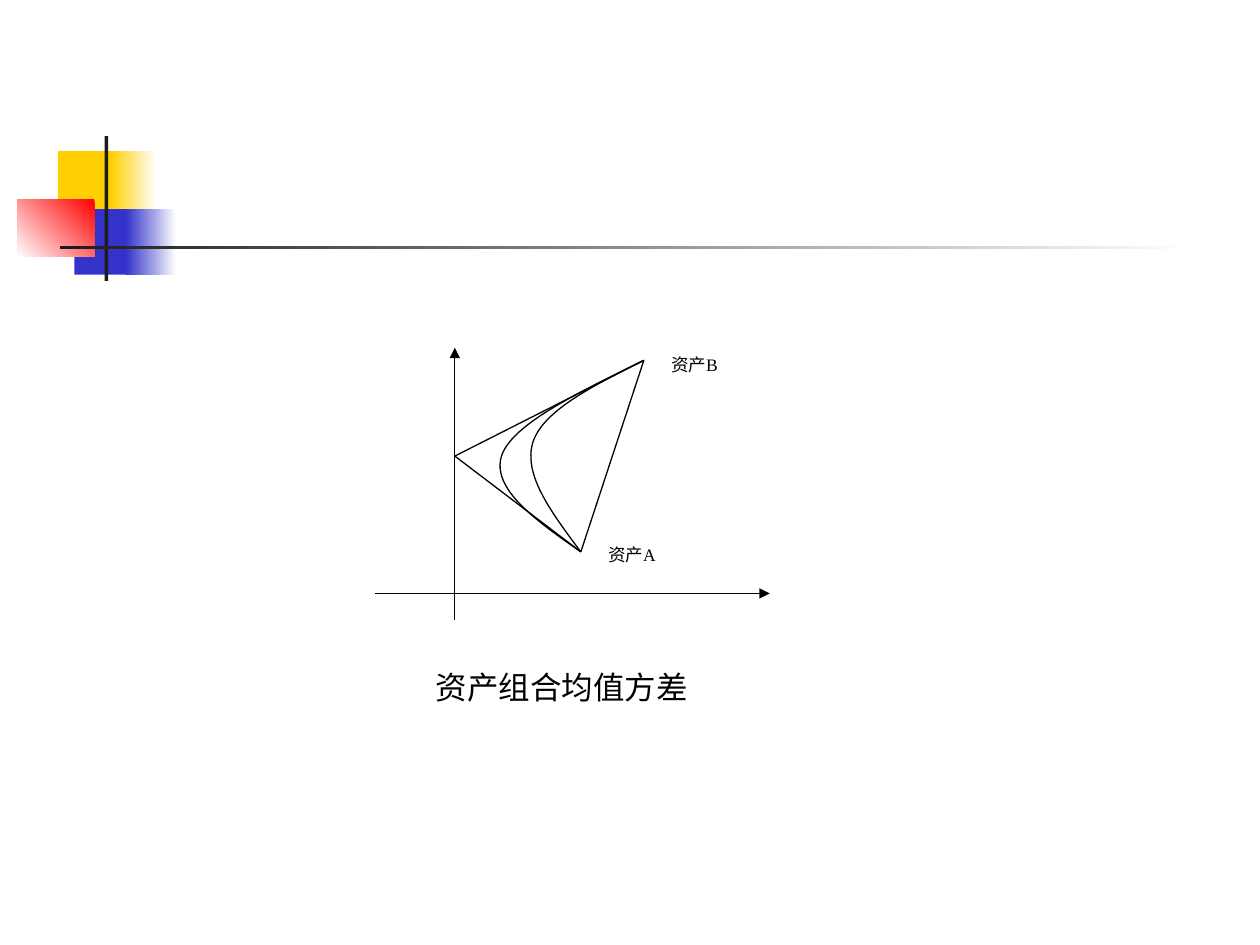
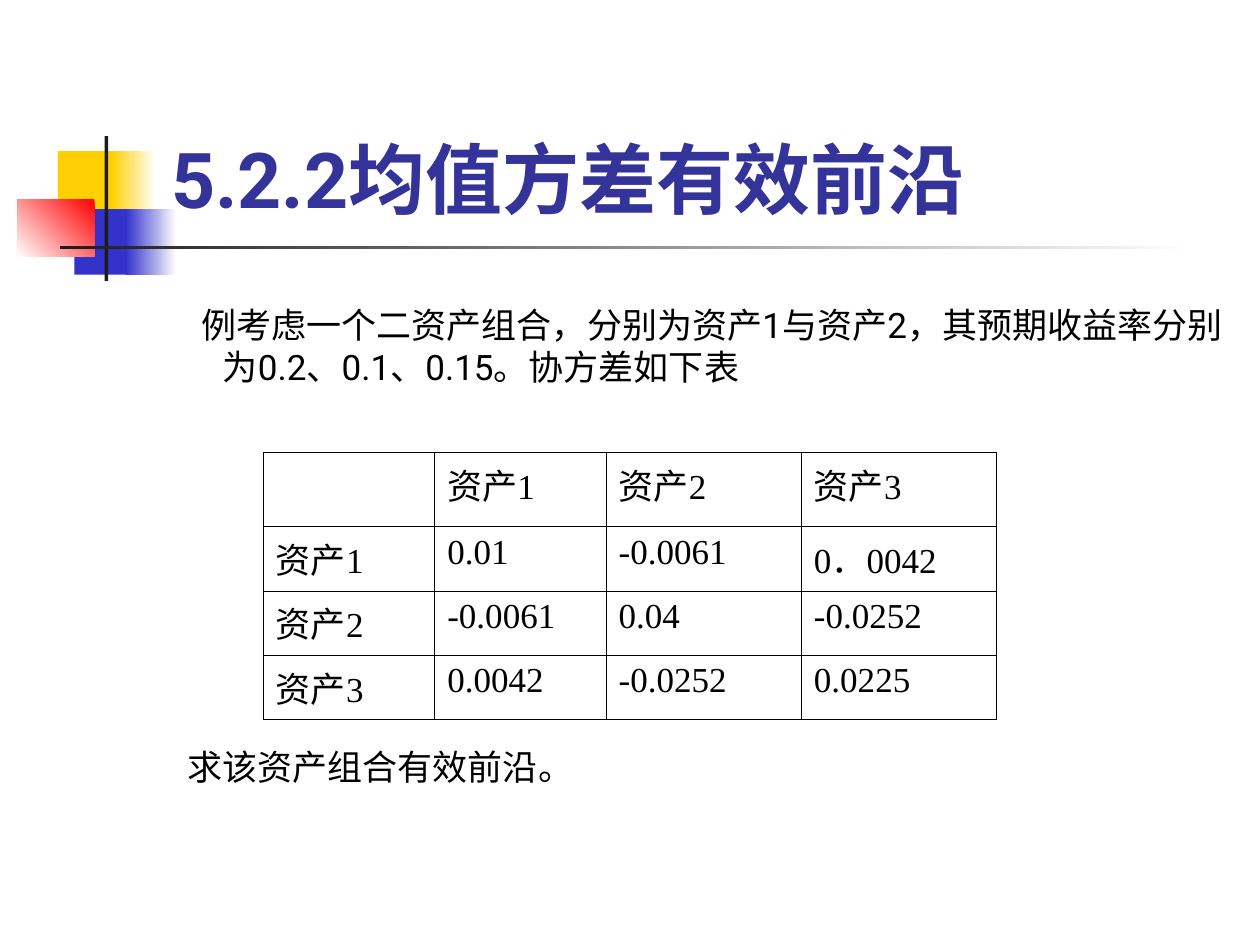
import lxml.etree
import pptx
import pptx.dml.color
import pptx.enum.shapes
import pptx.enum.text
import pptx.oxml.ns
import pptx.util

Inches = pptx.util.Inches
Pt = pptx.util.Pt
qn = pptx.oxml.ns.qn
RECT = pptx.enum.shapes.MSO_SHAPE.RECTANGLE
ALIGN = pptx.enum.text.PP_ALIGN
ANCHOR = pptx.enum.text.MSO_ANCHOR

THEME = {
    "gold": "FFCF01", "blue": "3333CC", "red": "FF0000", "dark": "1C1C1C",
    "white": "FFFFFF", "black": "000000", "title": "333399",
    "sans": "Roboto", "serif": "Times New Roman",
    "head": 44, "body": 20, "note": 18, "label": 10,
    "line": 0.75, "rule": 0.45,
}

# Motif: box, colours (two make a gradient), angle
MOTIF = [
    ((0.46, 1.2, 0.48, 0.52), ["gold"], 0),
    ((0.88, 1.2, 0.36, 0.52), ["white", "gold"], 180),
    ((0.59, 1.66, 0.46, 0.52), ["blue"], 0),
    ((1, 1.66, 0.4, 0.52), ["white", "blue"], 180),
    ((0.14, 1.58, 0.61, 0.46), ["red", "white"], 225),
    ((0.83, 1.08, 0.03, 1.15), ["dark"], 0),
    ((0.48, 1.95, 9, 0.03), ["white", "dark"], 180),
]

ASSET_A, ASSET_B, APEX = (4.61, 4.38), (5.11, 2.86), (3.61, 3.62)
AXES = [((3.61, 4.92), (3.61, 2.76)), ((2.98, 4.71), (6.11, 4.71))]
SIDES = [(ASSET_B, ASSET_A), (ASSET_B, APEX), (APEX, ASSET_A)]
# Each curve is two cubic pieces, from asset B to asset A
CURVES = [
    [(ASSET_B, (4.58, 3.12), (4.06, 3.37), (3.98, 3.62)),
     ((3.98, 3.62), (3.9, 3.88), (4.25, 4.13), ASSET_A)],
    [(ASSET_B, (4.71, 3.06), (4.31, 3.26), (4.23, 3.51)),
     ((4.23, 3.51), (4.15, 3.77), (4.38, 4.07), ASSET_A)],
]
LABELS = [("资产A", (4.73, 4.27, 0.75, 0.33)), ("资产B", (5.23, 2.76, 1, 0.43))]
CAPTION = "资产组合均值方差"

TITLE = "5.2.2均值方差有效前沿"
INTRO = "例考虑一个二资产组合，分别为资产1与资产2，其预期收益率分别为0.2、0.1、0.15。协方差如下表"
TASK = "求该资产组合有效前沿。"
COVAR = [
    ["", "资产1", "资产2", "资产3"],
    ["资产1", "0.01", "-0.0061", "0．0042"],
    ["资产2", "-0.0061", "0.04", "-0.0252"],
    ["资产3", "0.0042", "-0.0252", "0.0225"],
]
COLS, ROWS = [1.36, 1.36, 1.55, 1.55], [0.59, 0.51, 0.51, 0.51]


def tint(name):
    return pptx.dml.color.RGBColor.from_string(THEME[name])


def style(frame, size, face="sans", color="black", bold=False):
    for par in frame.paragraphs:
        for run in par.runs:
            run.font.size = Pt(THEME[size])
            run.font.name = THEME[face]
            run.font.color.rgb = tint(color)
            run.font.bold = bold


def block(slide, box, colors, angle=0):
    """Add a rectangle without outline, plain or gradient."""
    shape = slide.shapes.add_shape(RECT, *map(Inches, box))
    shape.shadow.inherit = False
    shape.line.fill.background()
    if len(colors) == 1:
        shape.fill.solid()
        shape.fill.fore_color.rgb = tint(colors[0])
    else:
        shape.fill.gradient()
        shape.fill.gradient_angle = angle
        for stop, name in zip(shape.fill.gradient_stops, colors):
            stop.color.rgb = tint(name)
    return shape


def write(slide, text, box, size, color="black", bold=False,
          anchor=ANCHOR.TOP, wrap=True):
    frame = slide.shapes.add_textbox(*map(Inches, box)).text_frame
    frame.text = text
    frame.word_wrap = wrap
    frame.vertical_anchor = anchor
    style(frame, size, color=color, bold=bold)
    return frame


def pen(line):
    line.color.rgb = tint("black")
    line.width = Pt(THEME["line"])


def link(slide, start, end, arrow=False):
    kind = pptx.enum.shapes.MSO_CONNECTOR.STRAIGHT
    wire = slide.shapes.add_connector(kind, *map(Inches, start + end))
    pen(wire.line)
    if arrow:
        lxml.etree.SubElement(wire.line._get_or_add_ln(), qn("a:tailEnd"), type="triangle")
    lxml.etree.SubElement(wire._element.spPr, qn("a:effectLst"))


def bezier(piece, t):
    weights = ((1 - t) ** 3, 3 * t * (1 - t) ** 2, 3 * t * t * (1 - t), t ** 3)
    return tuple(Inches(sum(w * p[axis] for w, p in zip(weights, piece)))
                 for axis in (0, 1))


def bend(slide, pieces, steps=24):
    """Draw joined cubic pieces as one open outline."""
    dots = [bezier(piece, i / steps) for piece in pieces for i in range(steps + 1)]
    pencil = slide.shapes.build_freeform(*dots[0])
    pencil.add_line_segments(dots[1:], close=False)
    shape = pencil.convert_to_shape()
    shape.shadow.inherit = False
    shape.fill.background()
    pen(shape.line)


def edge(cell):
    """Give a cell its four thin borders."""
    props = cell._tc.get_or_add_tcPr()
    for spot, side in enumerate(("lnL", "lnR", "lnT", "lnB")):
        line = lxml.etree.Element(qn("a:" + side), w=str(Pt(THEME["rule"])))
        fill = lxml.etree.SubElement(line, qn("a:solidFill"))
        lxml.etree.SubElement(fill, qn("a:srgbClr"), val=THEME["black"])
        props.insert(spot, line)


def grid(slide, data, left, top):
    size = map(Inches, (left, top, sum(COLS), sum(ROWS)))
    table = slide.shapes.add_table(len(ROWS), len(COLS), *size).table
    table.first_row = table.horz_banding = False
    for col, width in zip(table.columns, COLS):
        col.width = Inches(width)
    for row, height, texts in zip(table.rows, ROWS, data):
        row.height = Inches(height)
        for cell, text in zip(row.cells, texts):
            cell.text = text
            cell.fill.background()
            style(cell.text_frame, "body", "serif")
            edge(cell)


def start(deck):
    """Add a slide that carries the shared motif."""
    slide = deck.slides.add_slide(deck.slide_layouts[6])
    for box, colors, angle in MOTIF:
        block(slide, box, colors, angle)
    return slide


def plot(deck):
    slide = start(deck)
    for axis in AXES:
        link(slide, *axis, arrow=True)
    for curve in CURVES:
        bend(slide, curve)
    for side in SIDES:
        link(slide, *side)
    for text, box in LABELS:
        shape = block(slide, box, ["white"])
        frame = shape.text_frame
        frame.text = text
        frame.vertical_anchor = ANCHOR.TOP
        frame.paragraphs[0].alignment = ALIGN.JUSTIFY
        style(frame, "label", "serif")
    write(slide, CAPTION, (3.36, 5.25, 2.25, 0.4), "note",
          anchor=ANCHOR.MIDDLE, wrap=False)


def sample(deck):
    slide = start(deck)
    write(slide, TITLE, (1.26, 0.23, 8.52, 1.6), "head", "title", True, ANCHOR.BOTTOM)
    intro = write(slide, INTRO, (1.29, 2.36, 8.52, 0.9), "body")
    props = intro.paragraphs[0]._p.get_or_add_pPr()
    props.set("marL", str(Inches(0.38)))
    props.set("indent", str(Inches(-0.17)))
    grid(slide, COVAR, 2.09, 3.59)
    write(slide, TASK, (1.39, 5.87, 8.4, 0.5), "body")


def main():
    deck = pptx.Presentation()
    deck.slide_width, deck.slide_height = Inches(10), Inches(7.5)
    plot(deck)
    sample(deck)
    deck.save("out.pptx")


if __name__ == "__main__":
    main()
